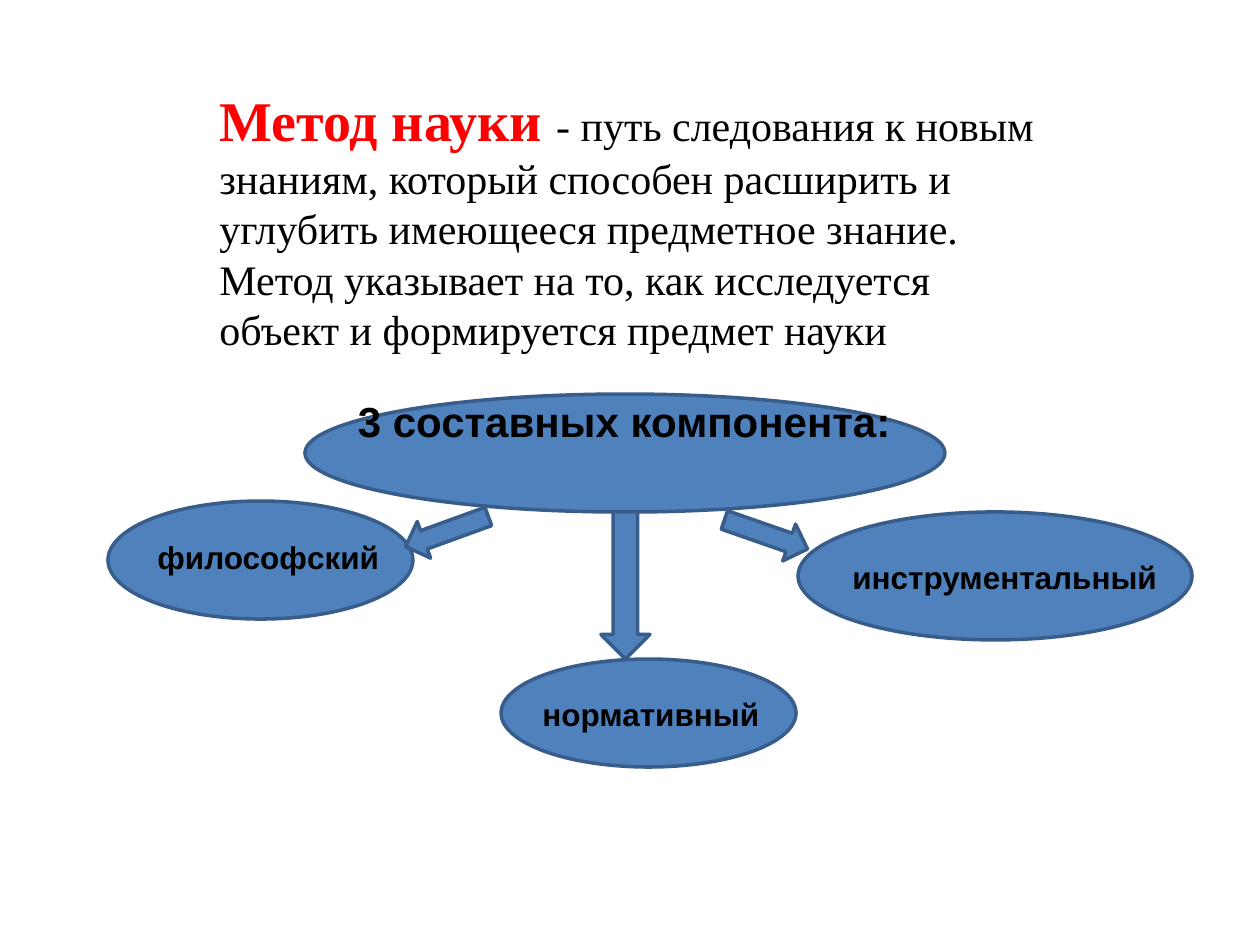
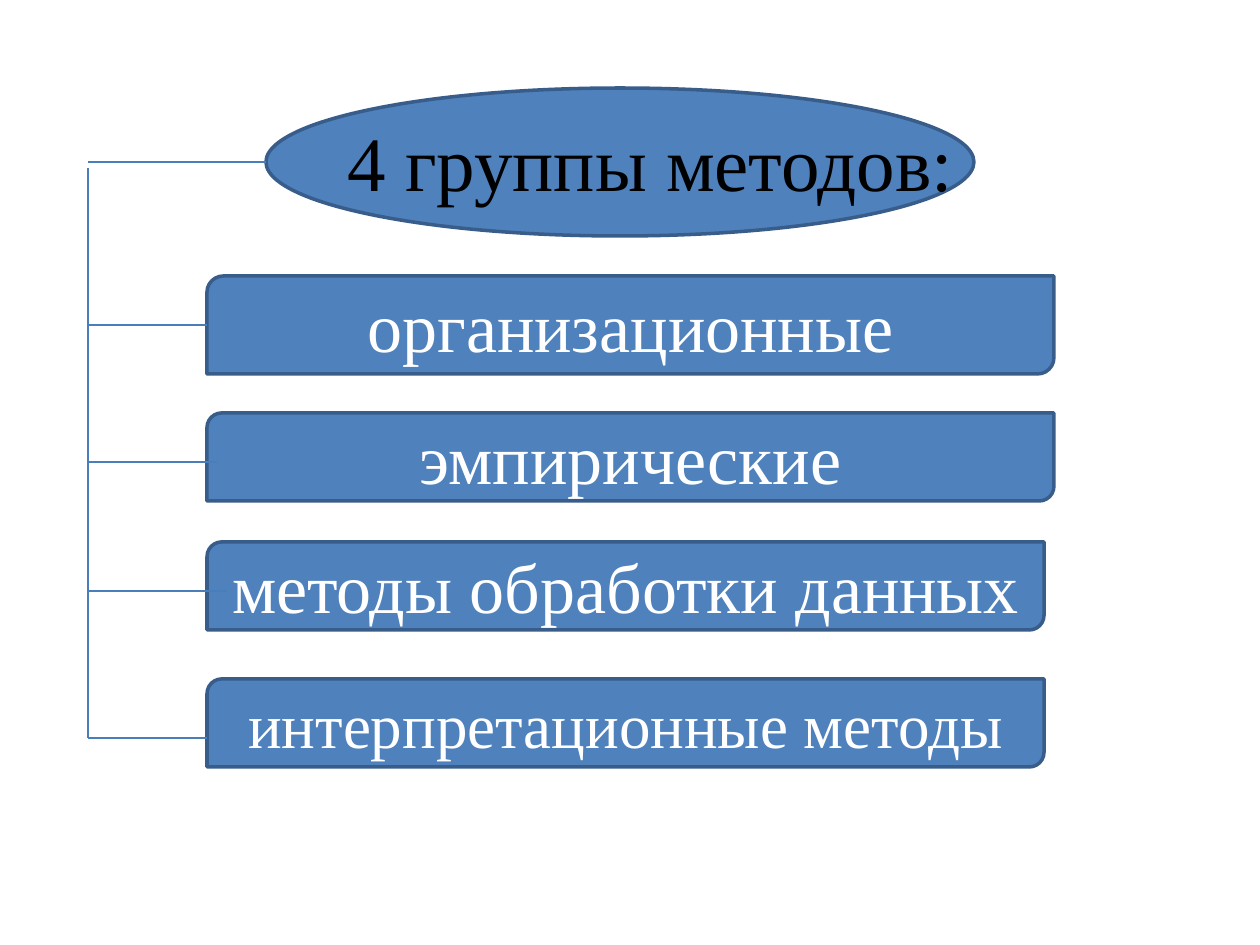
"""Build two slides on the method of science and the groups of methods."""
from dataclasses import dataclass

from lxml.etree import SubElement
from pptx import Presentation
from pptx.dml.color import RGBColor
from pptx.enum.shapes import MSO_CONNECTOR as Connector, MSO_SHAPE as Preset
from pptx.enum.text import MSO_ANCHOR as Anchor, PP_ALIGN as Align
from pptx.oxml.ns import qn
from pptx.util import Emu, Pt


@dataclass(frozen=True)
class Theme:
    fill: RGBColor = RGBColor(0x4F, 0x81, 0xBD)
    outline: RGBColor = RGBColor(0x38, 0x5D, 0x8A)
    connector: RGBColor = RGBColor(0x4A, 0x7E, 0xBB)
    dark: RGBColor = RGBColor(0, 0, 0)
    light: RGBColor = RGBColor(255, 255, 255)
    accent: RGBColor = RGBColor(255, 0, 0)
    serif: str = "Times New Roman"
    sans: str = "Arial"
    label: Pt = Pt(18)
    body: Pt = Pt(24)
    term: Pt = Pt(32)
    long_bar: Pt = Pt(36)
    bar: Pt = Pt(40)
    title: Pt = Pt(44)
    outline_width: Pt = Pt(2)
    connector_width: Pt = Pt(0.75)


theme = Theme()
PX = 914400 / 126


def add_block(slide, preset, box, rotation=0):
    shape = slide.shapes.add_shape(preset, *[Emu(round(value * PX)) for value in box])
    shape.rotation = rotation
    shape.shadow.inherit = False
    shape.fill.solid()
    shape.fill.fore_color.rgb = theme.fill
    shape.line.color.rgb = theme.outline
    shape.line.width = theme.outline_width
    return shape


def add_text(slide, box, text, name, size, bold=False, wrap=False, align=Align.LEFT):
    shape = slide.shapes.add_textbox(*[Emu(round(value * PX)) for value in box])
    shape.text_frame.word_wrap = wrap
    paragraph = shape.text_frame.paragraphs[0]
    paragraph.text = text
    paragraph.alignment = align
    paragraph.font.name = name
    paragraph.font.size = size
    paragraph.font.bold = bold
    paragraph.font.color.rgb = theme.dark
    return paragraph


presentation = Presentation()
presentation.slide_width = Emu(round(1260 * PX))
presentation.slide_height = Emu(round(945 * PX))
blank = presentation.slide_layouts[6]

slide = presentation.slides.add_slide(blank)
components = [
    ("нормативный", (501, 659, 295, 108), (530, 689, 252, 50)),
    ("инструментальный", (798, 512, 394, 128), (840, 552, 330, 50)),
    ("философский", (108, 501, 305, 118), (145, 532, 247, 50)),
]
for _, ellipse_box, _ in components:
    add_block(slide, Preset.OVAL, ellipse_box)
add_block(slide, Preset.OVAL, (305, 394, 640, 118))

definition = add_text(slide, (207, 79, 848, 282), "", theme.serif, theme.body, wrap=True)
term = definition.add_run()
term.text = "Метод науки "
term.font.size = theme.term
term.font.bold = True
term.font.color.rgb = theme.accent
definition.add_run().text = (
    "- путь следования к новым знаниям, который способен расширить и углубить "
    "имеющееся предметное знание. Метод указывает на то, как исследуется "
    "объект и формируется предмет науки"
)
add_text(slide, (315, 389, 630, 113), "3 составных компонента: ", theme.sans,
         theme.body, bold=True, wrap=True, align=Align.CENTER)
for label, _, label_box in components:
    add_text(slide, label_box, label, theme.sans, theme.label, bold=True)

for preset, arrow_box, rotation in [
    (Preset.DOWN_ARROW, (601, 512, 49, 147), 0),
    (Preset.LEFT_ARROW, (403, 512, 88, 39), 340),
    (Preset.RIGHT_ARROW, (722, 515, 88, 39), 19.2),
]:
    add_block(slide, preset, arrow_box, rotation)

slide = presentation.slides.add_slide(blank)
add_block(slide, Preset.OVAL, (266, 88, 708, 148))
add_text(slide, (335, 108, 655, 106), "4 группы методов:", theme.serif, theme.title)

trunk_x, bar_left = 88, 207
branches = [(266, 162)]
for text, top, width, height, size, branch_end, branch_y in [
    ("организационные", 276, 847, 98, theme.bar, bar_left, 325),
    ("эмпирические", 413, 847, 88, theme.bar, 217, 462),
    ("методы обработки данных", 542, 837, 88, theme.bar, 227, 591),
    ("интерпретационные методы", 679, 837, 88, theme.long_bar, bar_left, 738),
]:
    bar = add_block(slide, Preset.ROUND_2_DIAG_RECTANGLE, (bar_left, top, width, height))
    bar.text_frame.vertical_anchor = Anchor.MIDDLE
    paragraph = bar.text_frame.paragraphs[0]
    paragraph.text = text
    paragraph.alignment = Align.CENTER
    paragraph.font.name = theme.serif
    paragraph.font.size = size
    paragraph.font.color.rgb = theme.light
    branches.append((branch_end, branch_y))

lines = [(trunk_x, y, end, y) for end, y in branches]
lines.append((trunk_x, 168, trunk_x, branches[-1][1]))
for ends in lines:
    line = slide.shapes.add_connector(
        Connector.STRAIGHT, *[Emu(round(value * PX)) for value in ends])
    line.line.color.rgb = theme.connector
    line.line.width = theme.connector_width
    SubElement(line._element.spPr, qn("a:effectLst"))

presentation.save("out.pptx")
